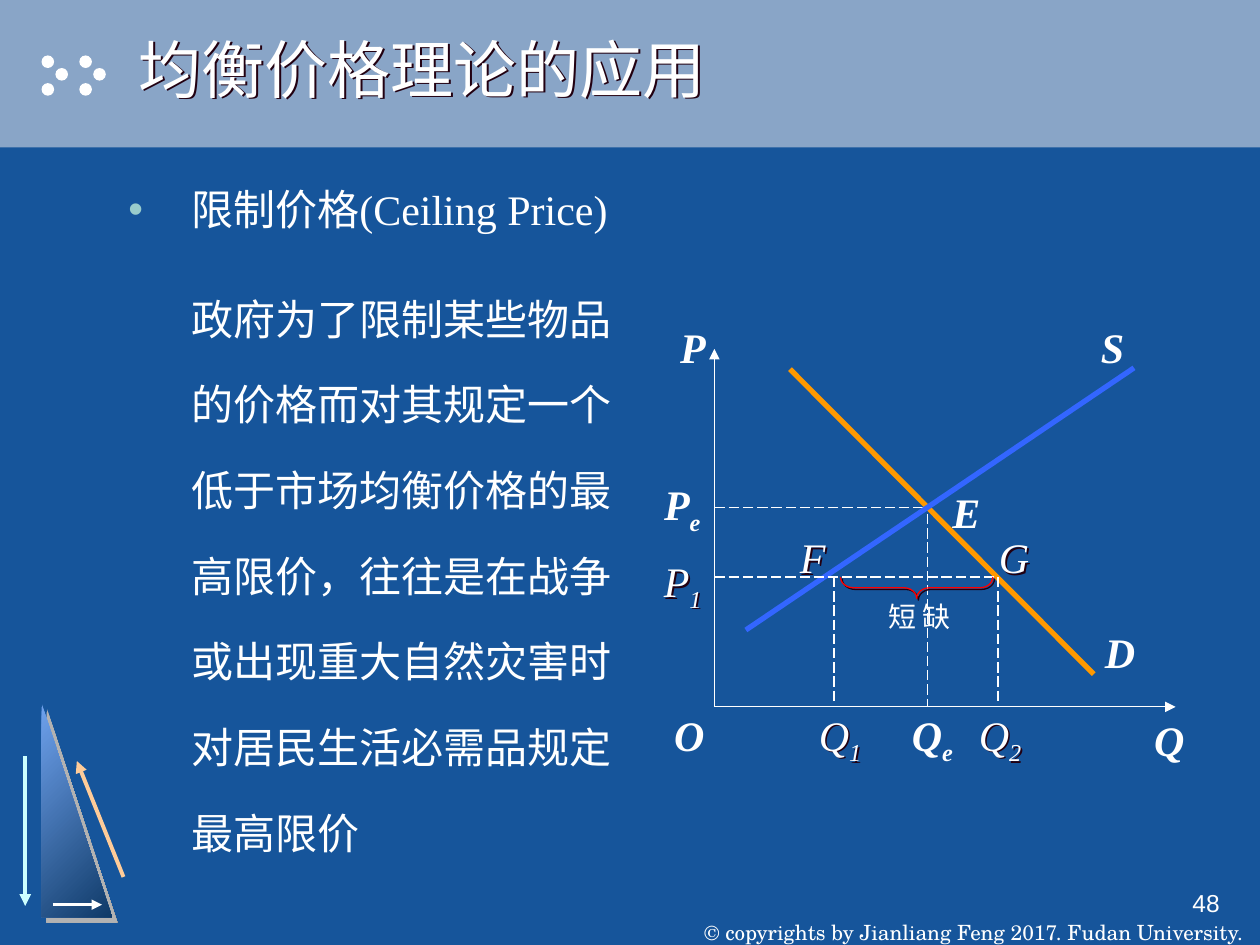
from lxml import etree
from pptx import Presentation
from pptx import util as u
from pptx.dml.color import RGBColor
from pptx.enum import dml, shapes, text
from pptx.oxml import ns

BLUE = RGBColor(0x16, 0x55, 0x9B)
BAND = RGBColor(0x89, 0xA5, 0xC7)
WHITE = RGBColor(0xFF, 0xFF, 0xFF)
TRI_LIGHT = RGBColor(0x6F, 0xA2, 0xED)
TRI_DARK = RGBColor(0x0F, 0x3A, 0x68)
GREY = RGBColor(0xB2, 0xB2, 0xB2)
CYAN = RGBColor(0xCC, 0xFF, 0xFF)
PEACH = RGBColor(0xFF, 0xCC, 0x99)
BULLET = RGBColor(0x99, 0xCC, 0xCC)
ORANGE = RGBColor(0xFF, 0x99, 0x00)
SUPPLY_BLUE = RGBColor(0x33, 0x66, 0xFF)
RED = RGBColor(0xFF, 0x00, 0x00)
DARK = RGBColor(0x22, 0x00, 0x11)

SERIF, SANS, CJK = "Times New Roman", "Arial", "Noto Sans CJK SC"
LEFT, CENTER, RIGHT = text.PP_ALIGN.LEFT, text.PP_ALIGN.CENTER, text.PP_ALIGN.RIGHT


def child(parent, tag, **attrs):
    return etree.SubElement(parent, ns.qn(tag), {k: str(v) for k, v in attrs.items()})


class Deck:
    def __init__(self):
        self.prs = Presentation()
        self.prs.slide_width, self.prs.slide_height = u.Inches(10), u.Inches(7.5)
        self.s = self.prs.slides.add_slide(self.prs.slide_layouts[5])
        self.s.background.fill.solid()
        self.s.background.fill.fore_color.rgb = BLUE

    def shape(self, kind, x, y, w, h, fill=None):
        sp = self.s.shapes.add_shape(kind, *map(u.Inches, (x, y, w, h)))
        sp.line.fill.background()
        if fill is None:
            sp.fill.background()
        else:
            sp.fill.solid()
            sp.fill.fore_color.rgb = fill
        sp.shadow.inherit = False
        return sp

    def cast(self, sp, color=DARK, dist=1.4):
        """Give a shape, or the text of an unfilled one, a 45 degree shadow."""
        sp.shadow.inherit = False
        effects = sp._element.spPr.find(ns.qn("a:effectLst"))
        outer = child(effects, "a:outerShdw", dist=int(u.Pt(dist)), dir=2700000,
                      algn="ctr", rotWithShape=0)
        child(outer, "a:srgbClr", val=color)

    def line(self, start, end, color=WHITE, width=0.75, dash=False, arrow=False):
        cx = self.s.shapes.add_connector(shapes.MSO_CONNECTOR.STRAIGHT,
                                         *map(u.Inches, (*start, *end)))
        cx.line.color.rgb = color
        cx.line.width = u.Pt(width)
        if dash:
            cx.line.dash_style = dml.MSO_LINE.LONG_DASH
        if arrow:
            child(cx.line._get_or_add_ln(), "a:tailEnd", type="triangle")
        child(cx._element.spPr, "a:effectLst")

    def run(self, p, words, size, font=SERIF, bold=False, italic=False, sub=False):
        r = p.add_run()
        r.text = words
        f = r.font
        f.size, f.name, f.bold, f.italic = u.Pt(size), font, bold, italic
        f.color.rgb = WHITE
        props = r._r.get_or_add_rPr()
        child(props, "a:ea", typeface=CJK)
        if sub:
            props.set("baseline", "-25000")

    def box(self, x, y, w, h, align=LEFT, wrap=True, shadow=False):
        """Add a text box and return its text frame."""
        sp = self.s.shapes.add_textbox(*map(u.Inches, (x, y, w, h)))
        if shadow:
            self.cast(sp)
        tf = sp.text_frame
        tf.word_wrap = wrap
        tf.paragraphs[0].alignment = align
        return tf

    def label(self, words, x, y, w, sub="", bold=True):
        """Diagram label; the light ones are left aligned and shadowed."""
        tf = self.box(x, y, w, 0.56 if sub else 0.5, CENTER if bold else LEFT,
                      wrap=not bold, shadow=not bold)
        style = dict(size=24, bold=bold, italic=True)
        self.run(tf.paragraphs[0], words, **style)
        if sub:
            self.run(tf.paragraphs[0], sub, sub=True, **style)

    def title(self, words):
        sp = self.s.shapes.title
        sp.left, sp.top, sp.width, sp.height = map(u.Inches, (1, 0, 9, 1.08))
        sp.fill.background()
        self.cast(sp)
        tf = sp.text_frame
        tf.vertical_anchor = text.MSO_ANCHOR.MIDDLE
        tf.paragraphs[0].alignment = LEFT
        self.run(tf.paragraphs[0], words, 36, SANS)


def add_decoration(deck):
    kinds = shapes.MSO_SHAPE
    band = deck.shape(kinds.RECTANGLE, 0, 0, 10, 1.17, BAND)
    deck.s.shapes.title._element.addprevious(band._element)
    for left in (0.33, 0.63):
        for dx, y in ((0, 0.44), (0.11, 0.54), (0, 0.66)):
            deck.shape(kinds.OVAL, left + dx, y, 0.1, 0.1, WHITE)
    triangle = deck.shape(kinds.RIGHT_TRIANGLE, 0.33, 5.58, 0.56, 1.7)
    triangle.fill.gradient()
    triangle.fill.gradient_angle = 315
    for stop, color in zip(triangle.fill.gradient_stops, (TRI_LIGHT, TRI_DARK)):
        stop.color.rgb = color
    deck.cast(triangle, GREY, 4.2)
    deck.line((0.2, 6), (0.2, 7.19), CYAN, 2.25, arrow=True)
    deck.line((0.98, 6.96), (0.61, 6.04), PEACH, 2.25, arrow=True)
    deck.line((0.42, 7.18), (0.81, 7.18), WHITE, 1.5, arrow=True)


def add_footer(deck):
    tf = deck.box(5.44, 7, 4.58, 0.5, CENTER, wrap=False)
    tf.margin_top = tf.margin_bottom = 0
    tf.vertical_anchor = text.MSO_ANCHOR.BOTTOM
    deck.run(tf.paragraphs[0], "© copyrights by Jianliang Feng 2017. Fudan University.",
             12, "TeX Gyre Schola")
    tf = deck.box(7.75, 7, 2.08, 0.5, RIGHT)
    tf.margin_right = u.Inches(0.15)
    deck.run(tf.paragraphs[0], "48", 14, SANS)


def add_body(deck):
    tf = deck.box(0.92, 1.33, 4.15, 5.5)
    heading, detail = tf.paragraphs[0], tf.add_paragraph()
    margin = int(u.Inches(0.5))
    for p, indent, spacing in ((heading, -margin, 1.2), (detail, 0, 1.7)):
        props = p._p.get_or_add_pPr()
        props.set("marL", str(margin))
        props.set("indent", str(indent))
        p.line_spacing = spacing
    detail.space_before = u.Pt(13.5)
    props = heading._p.get_or_add_pPr()
    child(child(props, "a:buClr"), "a:srgbClr", val=BULLET)
    child(props, "a:buFont", typeface=SANS)
    child(props, "a:buChar", char="•")
    deck.run(heading, "限制价格", 24, CJK)
    deck.run(heading, "(Ceiling Price)", 24)
    deck.run(detail, "政府为了限制某些物品的价格而对其规定一个低于市场均衡价格的最高限价，"
             "往往是在战争或出现重大自然灾害时对居民生活必需品规定最高限价", 24, CJK)


def add_market_diagram(deck):
    x0, y0 = 5.67, 5.61
    price_e, price_1 = 4.03, 4.58
    deck.line((x0, y0), (x0, 2.77), arrow=True)
    deck.line((x0, y0), (9.33, y0), arrow=True)
    deck.line((7.33, price_e), (x0, price_e), dash=True)
    deck.line((7.36, 4.08), (7.36, y0), dash=True)
    for words, x, y, w, sub in (
            ("Q", 9.06, 5.62, 0.44, ""), ("O", 5.25, 5.58, 0.44, ""),
            ("Q", 7.1, 5.58, 0.6, "e"), ("P", 5.3, 2.5, 0.4, ""),
            ("P", 5.17, 3.75, 0.49, "e"), ("D", 8.67, 4.92, 0.44, ""),
            ("S", 8.58, 2.5, 0.5, ""), ("E", 7.46, 3.81, 0.42, "")):
        deck.label(words, x, y, w, sub)
    deck.line((6.27, 2.93), (8.68, 5.35), ORANGE, 3)
    deck.line((5.92, 5), (9, 2.92), SUPPLY_BLUE, 3)

    for quantity in (6.62, 7.92):
        deck.line((quantity, price_1), (quantity, 5.58), dash=True)
    deck.line((x0, price_1), (7.92, price_1), dash=True)
    for words, x, y, w, sub in (
            ("Q", 7.67, 5.58, 0.67, "2"), ("Q", 6.4, 5.58, 0.58, "1"),
            ("P", 5.17, 4.36, 0.58, "1"), ("F", 6.25, 4.17, 0.42, ""),
            ("G", 7.83, 4.17, 0.42, "")):
        deck.label(words, x, y, w, sub, bold=False)

    tf = deck.box(6.85, 4.71, 0.9, 0.37, CENTER)
    deck.run(tf.paragraphs[0], "短 缺", 16)
    brace = deck.shape(shapes.MSO_SHAPE.RIGHT_BRACE, 7.19, 4.06, 0.17, 1.21)
    brace.rotation = 90
    brace.adjustments[0] = 0.6
    brace.line.color.rgb = RED
    brace.line.width = u.Pt(0.75)
    deck.cast(brace)


def main():
    deck = Deck()
    add_decoration(deck)
    add_footer(deck)
    deck.title("均衡价格理论的应用")
    add_body(deck)
    add_market_diagram(deck)
    deck.prs.save("out.pptx")


if __name__ == "__main__":
    main()
